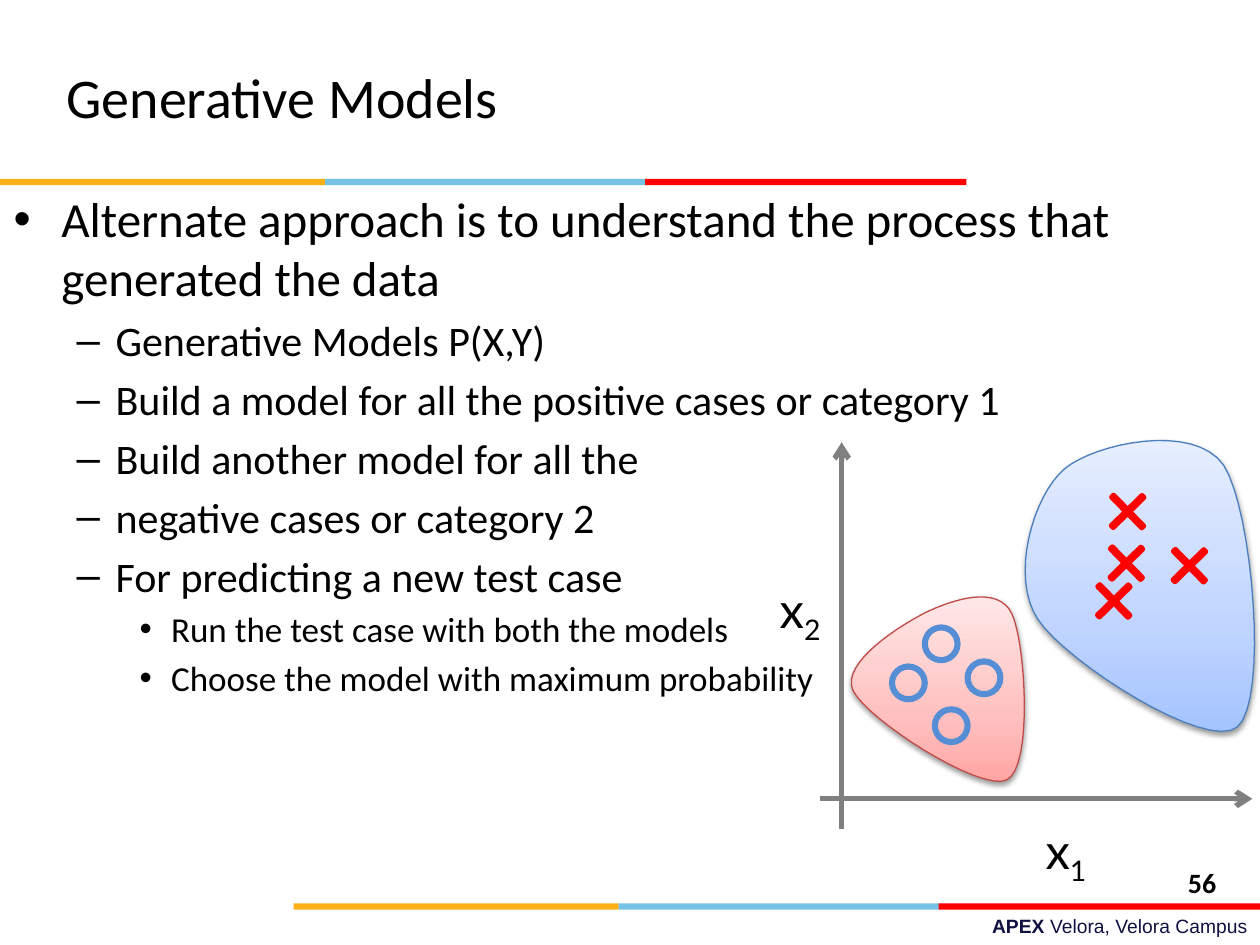
from lxml import etree
from pptx import Presentation
from pptx.dml.color import RGBColor
from pptx.enum.shapes import MSO_CONNECTOR, MSO_SHAPE
from pptx.enum.text import MSO_ANCHOR, PP_ALIGN
from pptx.oxml.ns import qn
from pptx.util import Pt

PX = 9144
RECTANGLE, OVAL, CROSS = MSO_SHAPE.RECTANGLE, MSO_SHAPE.OVAL, MSO_SHAPE.CROSS
STRAIGHT = MSO_CONNECTOR.STRAIGHT
LEFT, RIGHT = PP_ALIGN.LEFT, PP_ALIGN.RIGHT
TOP, MIDDLE = MSO_ANCHOR.TOP, MSO_ANCHOR.MIDDLE

BLACK = RGBColor(0x00, 0x00, 0x00)
NAVY = RGBColor(0x10, 0x11, 0x41)
GOLD = RGBColor(0xFC, 0xB0, 0x17)
SKY = RGBColor(0x76, 0xC2, 0xE5)
RED = RGBColor(0xFF, 0x00, 0x00)
GRAY = RGBColor(0x80, 0x80, 0x80)
RING_BLUE = RGBColor(0x55, 0x8E, 0xD5)
POSITIVE_LINE = RGBColor(0x4B, 0x7E, 0xBC)
NEGATIVE_LINE = RGBColor(0xBF, 0x4C, 0x48)
POSITIVE_FILL = [RGBColor(0xA4, 0xC4, 0xFF), RGBColor(0xBF, 0xD4, 0xFF), RGBColor(0xE6, 0xEE, 0xFF)]
NEGATIVE_FILL = [RGBColor(0xFF, 0xA6, 0xA5), RGBColor(0xFF, 0xC0, 0xBF), RGBColor(0xFF, 0xE7, 0xE7)]
GRADIENT_POSITIONS = (0, 35000, 100000)

LEVELS = [
    {"size": 28, "margin": 38, "hang": 38, "bullet": "•"},
    {"size": 24, "margin": 81, "hang": 31, "bullet": "–"},
    {"size": 20, "margin": 125, "hang": 25, "bullet": "•"},
]
POINTS = [
    (0, "Alternate approach is to understand the process that generated the data"),
    (1, "Generative Models P(X,Y)"),
    (1, "Build a model for all the positive cases or category 1"),
    (1, "Build another model for all the"),
    (1, "negative cases or category 2"),
    (1, "For predicting a new test case"),
    (2, "Run the test case with both the models"),
    (2, "Choose the model with maximum probability"),
]

POSITIVE_OUTLINE = [
    (236, 22), (211, 43), (192, 108), (215, 142), (238, 176), (349, 247), (373, 227),
    (398, 206), (385, 54), (362, 19), (338, -15), (260, 2), (236, 22),
]
NEGATIVE_OUTLINE = [
    (126, 136), (106, 146), (58, 176), (68, 198), (79, 221), (169, 279), (190, 269),
    (211, 259), (205, 160), (194, 137), (183, 114), (147, 126), (126, 136),
]
RINGS = [(99, 179), (159, 175), (133, 213), (125, 148)]
CROSSES = [(258, 110), (269, 39), (318, 82), (268, 80)]
AXES = [((59, 308), (59, 1)), ((42, 284), (385, 284))]
AXIS_LABELS = [((211, 296), "1"), ((0, 105), "2")]


def scaled(*lengths):
    """Turn px lengths into EMU."""
    return [round(length * PX) for length in lengths]


def add_span(para, text, font="Calibri", size=28, color=BLACK, bold=False, baseline=None):
    """Add one formatted run to a paragraph."""
    span = para.add_run()
    span.text = text
    span.font.name = font
    span.font.size = Pt(size)
    span.font.bold = bold
    span.font.color.rgb = color
    if baseline is not None:
        span.font._element.set("baseline", str(baseline))


def add_frame(page, box, anchor=TOP, wrap=True):
    """Add an empty text box and return its text frame."""
    frame = page.shapes.add_textbox(*scaled(*box)).text_frame
    frame.word_wrap = wrap
    frame.vertical_anchor = anchor
    return frame


def add_line_of_text(page, box, spans, anchor=TOP, align=LEFT, wrap=True):
    """Add a text box with one paragraph of (text, format) spans."""
    para = add_frame(page, box, anchor, wrap).paragraphs[0]
    para.alignment = align
    for text, style in spans:
        add_span(para, text, **style)


def add_mark(page, kind, box, fill=None, line=None, width=0):
    """Add a flat preset shape."""
    shape = page.shapes.add_shape(kind, *scaled(*box))
    shape.shadow.inherit = False
    if fill is None:
        shape.fill.background()
    else:
        shape.fill.solid()
        shape.fill.fore_color.rgb = fill
    if line is None:
        shape.line.fill.background()
    else:
        shape.line.color.rgb = line
        shape.line.width = Pt(width)
    return shape


def add_stripe(page, left, top):
    """Draw the three-colour stripe."""
    for offset, width, color in ((0, 258, GOLD), (258, 255, SKY), (512, 255, RED)):
        add_mark(page, RECTANGLE, (left + offset, top, width, 5), fill=color)


def add_body(page, box):
    """Write the bulleted list."""
    frame = add_frame(page, box)
    for index, (level, text) in enumerate(POINTS):
        style = LEVELS[level]
        para = frame.add_paragraph() if index else frame.paragraphs[0]
        para.level = level
        para.space_before = Pt(style["size"] / 5 if index else 0)
        properties = para._p.get_or_add_pPr()
        properties.set("marL", str(style["margin"] * PX))
        properties.set("indent", str(-style["hang"] * PX))
        etree.SubElement(properties, qn("a:buFont")).set("typeface", "Arial")
        etree.SubElement(properties, qn("a:buChar")).set("char", style["bullet"])
        add_span(para, text, size=style["size"])


def curve_points(outline, steps=16):
    """Sample a chain of cubic Bezier segments."""
    for first in range(0, len(outline) - 1, 3):
        segment = outline[first:first + 4]
        for step in range(1, steps + 1):
            t = step / steps
            weights = ((1 - t) ** 3, 3 * t * (1 - t) ** 2, 3 * t * t * (1 - t), t ** 3)
            yield [sum(w * point[axis] for w, point in zip(weights, segment)) for axis in (0, 1)]


def add_cluster(page, left, top, outline, colors, line):
    """Draw a rounded region with a gradient and a soft shadow."""
    points = [scaled(left + x, top + y) for x, y in curve_points(outline)]
    builder = page.shapes.build_freeform(*points[-1])
    builder.add_line_segments(points, close=True)
    shape = builder.convert_to_shape()
    shape.fill.gradient()
    shape.fill.gradient_angle = 90
    stops = shape._element.spPr.find(qn("a:gradFill")).find(qn("a:gsLst"))
    for stop in list(stops):
        stops.remove(stop)
    for position, color in zip(GRADIENT_POSITIONS, colors):
        stop = etree.SubElement(stops, qn("a:gs"), pos=str(position))
        etree.SubElement(stop, qn("a:srgbClr"), val=str(color))
    shape.line.color.rgb = line
    shape.line.width = Pt(0.75)
    shape.shadow.inherit = False
    effects = shape._element.spPr.find(qn("a:effectLst"))
    shadow = etree.SubElement(effects, qn("a:outerShdw"), blurRad="40000", dist="20000",
                              dir="5400000", rotWithShape="0")
    shade = etree.SubElement(shadow, qn("a:srgbClr"), val=str(BLACK))
    etree.SubElement(shade, qn("a:alpha"), val="38000")


def add_axis(page, start, end):
    """Draw an axis with an arrowhead at its end."""
    axis = page.shapes.add_connector(STRAIGHT, *scaled(*start, *end))
    axis.line.color.rgb = GRAY
    axis.line.width = Pt(3)
    properties = axis._element.spPr
    etree.SubElement(properties.find(qn("a:ln")), qn("a:tailEnd"), type="arrow")
    etree.SubElement(properties, qn("a:effectLst"))


def add_plot(page, left, top):
    """Draw both clusters with their samples, axes and axis labels."""
    add_cluster(page, left, top, POSITIVE_OUTLINE, POSITIVE_FILL, POSITIVE_LINE)
    add_cluster(page, left, top, NEGATIVE_OUTLINE, NEGATIVE_FILL, NEGATIVE_LINE)
    for x, y in RINGS:
        add_mark(page, OVAL, (left + x, top + y, 26, 26), line=RING_BLUE, width=3.5)
    for x, y in CROSSES:
        cross = add_mark(page, CROSS, (left + x, top + y, 34, 34), fill=BLACK, line=RED, width=3)
        cross.adjustments[0] = 0.47
        cross.rotation = 45.6
    for (x, y), number in AXIS_LABELS:
        spans = [("x", {"font": "Lato"}), (number, {"font": "Lato", "baseline": -25000})]
        add_line_of_text(page, (left + x, top + y, 54, 57), spans, wrap=False)
    for start, end in AXES:
        add_axis(page, *((left + x, top + y) for x, y in (start, end)))


def main():
    """Build and save the slide."""
    deck = Presentation()
    deck.slide_width, deck.slide_height = scaled(1000, 750)
    page = deck.slides.add_slide(deck.slide_layouts[6])
    footer = {"font": "Arial", "size": 11, "color": NAVY}
    add_line_of_text(page, (358, 721, 642, 29),
                     [("APEX ", {**footer, "bold": True}), ("Velora, Velora Campus", footer)],
                     align=RIGHT)
    add_stripe(page, 233, 717)
    add_stripe(page, 0, 142)
    add_line_of_text(page, (43, 30, 669, 93), [("Generative Models", {"size": 32})], anchor=MIDDLE)
    add_body(page, (1, 145, 900, 495))
    add_line_of_text(page, (933, 682, 67, 32), [("56", {"size": 16, "bold": True})])
    add_plot(page, 609, 350)
    deck.save("out.pptx")


if __name__ == "__main__":
    main()
